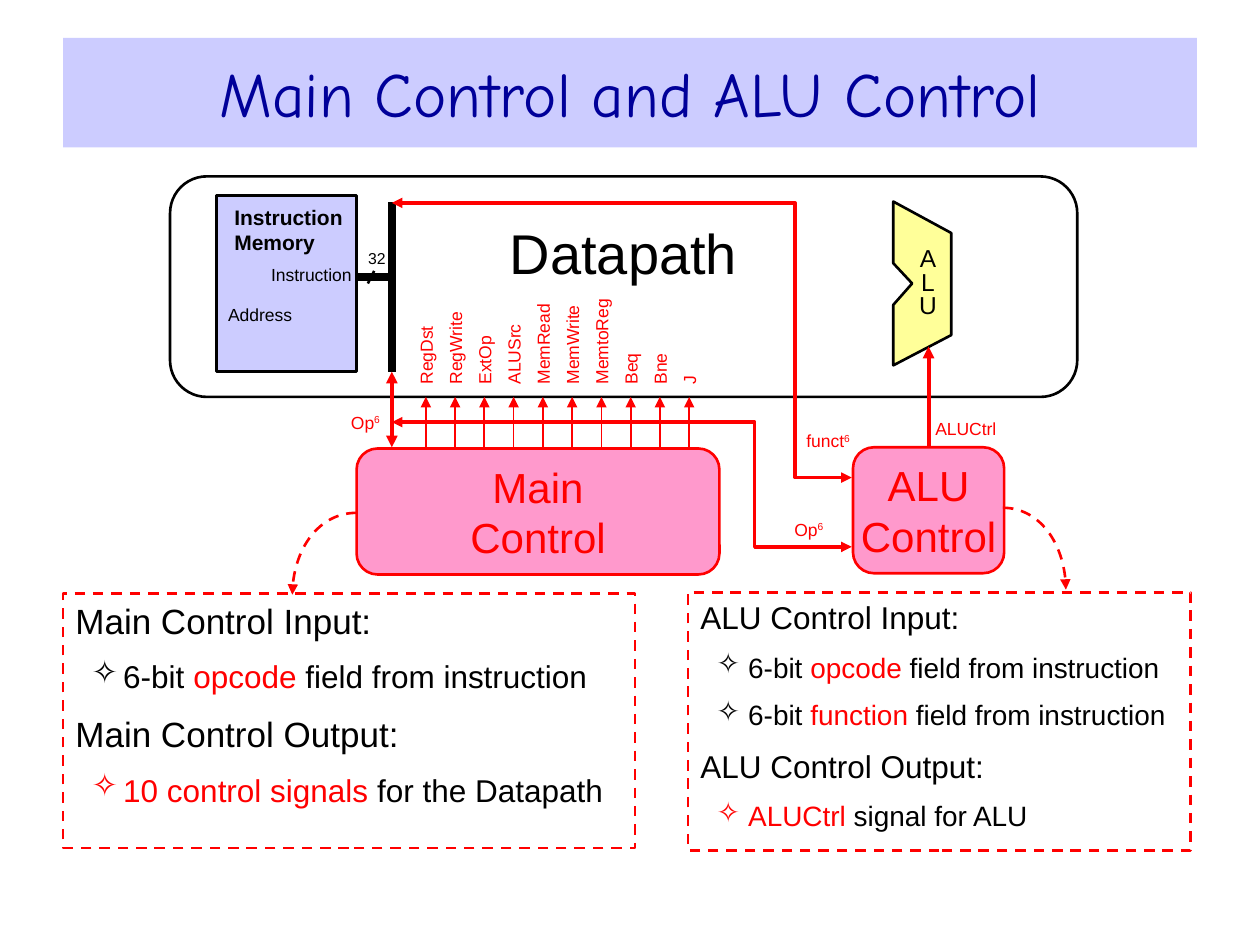
import lxml.etree
import pptx
import pptx.dml.color
import pptx.enum.dml
import pptx.enum.shapes
import pptx.enum.text
import pptx.oxml.ns
import pptx.util

Inches = pptx.util.Inches
Pt = pptx.util.Pt
SHAPE = pptx.enum.shapes.MSO_SHAPE
ALIGN = pptx.enum.text.PP_ALIGN
ANCHOR = pptx.enum.text.MSO_ANCHOR
qn = pptx.oxml.ns.qn

COLORS = {
    "black": "000000",
    "red": "FF0000",
    "navy": "000099",
    "lavender": "CCCCFF",
    "pink": "FF99CC",
    "yellow": "FFFF99",
}
SIGNAL_LENGTHS = {
    "RegDst": 0.6, "RegWrite": 0.6, "ExtOp": 0.6, "ALUSrc": 0.6, "MemRead": 0.8,
    "MemWrite": 0.7, "MemtoReg": 0.75, "Beq": 0.6, "Bne": 0.6, "J": 0.6,
}
SIGNAL_STEP = 2.09 / 9


def rgb(color):
    return pptx.dml.color.RGBColor.from_string(COLORS[color])


def write_text(frame, paragraphs, size=10, color="black", font="Arial", bold=False,
               align=ALIGN.LEFT, anchor=ANCHOR.MIDDLE, inset=(0, 0), wrap=True, spacing=None):
    """Fill a frame; each paragraph is a list of (text, run color, superscript) or a string."""
    frame.word_wrap = wrap
    frame.vertical_anchor = anchor
    frame.margin_left = frame.margin_right = Inches(inset[0])
    frame.margin_top = frame.margin_bottom = Inches(inset[1])
    for index, runs in enumerate(paragraphs):
        paragraph = frame.add_paragraph() if index else frame.paragraphs[0]
        paragraph.alignment = align
        paragraph.line_spacing = spacing
        for text, run_color, raised in [(runs, color, False)] if isinstance(runs, str) else runs:
            run = paragraph.add_run()
            run.text = text
            run.font.size = Pt(size)
            run.font.name = font
            run.font.bold = bold
            run.font.color.rgb = rgb(run_color)
            if raised:
                run._r.get_or_add_rPr().set("baseline", "30000")


def add_label(slide, left, top, width, height, paragraphs, rotation=0, **text_format):
    label = slide.shapes.add_textbox(Inches(left), Inches(top), Inches(width), Inches(height))
    label.rotation = rotation
    write_text(label.text_frame, paragraphs, **text_format)


def with_bits(name):
    return [[(name, "red", False), ("6", "red", True)]]


def style_line(line, color="red", weight=1.5, dashed=False, head=False, tail=False):
    line.color.rgb = rgb(color)
    line.width = Pt(weight)
    if dashed:
        line.dash_style = pptx.enum.dml.MSO_LINE.DASH
    for end, wanted in (("a:headEnd", head), ("a:tailEnd", tail)):
        if wanted:
            lxml.etree.SubElement(line._get_or_add_ln(), qn(end)).set("type", "triangle")


def style_shape(shape, fill=None, **line_format):
    shape.shadow.inherit = False
    if fill:
        shape.fill.solid()
        shape.fill.fore_color.rgb = rgb(fill)
    else:
        shape.fill.background()
    style_line(shape.line, **line_format)


def add_box(slide, kind, left, top, width, height, **style):
    box = slide.shapes.add_shape(kind, Inches(left), Inches(top), Inches(width), Inches(height))
    style_shape(box, **style)
    return box


def add_wire(slide, start, end, **line_format):
    wire = slide.shapes.add_connector(
        pptx.enum.shapes.MSO_CONNECTOR.STRAIGHT, *(Inches(value) for value in start + end))
    style_line(wire.line, **line_format)
    lxml.etree.SubElement(wire._element.spPr, qn("a:effectLst"))


def add_outline(slide, points, close=False, **style):
    corners = [(Inches(x), Inches(y)) for x, y in points]
    builder = slide.shapes.build_freeform(*corners[0])
    builder.add_line_segments(corners[1:], close=close)
    outline = builder.convert_to_shape()
    style_shape(outline, **style)
    return outline


def add_curve(slide, start, end):
    """Draw a dashed quarter ellipse that leaves sideways and arrives downward."""
    curve = add_outline(slide, [start, end], dashed=True, tail=True)
    segment = next(curve._element.iter(qn("a:lnTo")))
    (x0, y0), (x1, y1) = [(int(point.get("x")), int(point.get("y")))
                          for point in curve._element.iter(qn("a:pt"))]
    segment.tag = qn("a:cubicBezTo")
    controls = [(x0 + 0.55 * (x1 - x0), y0), (x1, y0 + 0.45 * (y1 - y0))]
    for index, (x, y) in enumerate(controls):
        segment.insert(index, segment.makeelement(qn("a:pt"), {"x": str(int(x)), "y": str(int(y))}))


def place_title(title, left, top, width, height):
    title.left, title.top = Inches(left), Inches(top)
    title.width, title.height = Inches(width), Inches(height)
    title.fill.solid()
    title.fill.fore_color.rgb = rgb("lavender")
    write_text(title.text_frame, ["Main Control and ALU Control"], size=36, color="navy",
               font="Comic Neue", align=ALIGN.CENTER, inset=(0.1, 0.05))


def draw_instruction_memory(slide, left, top, width, height):
    add_box(slide, SHAPE.RECTANGLE, left, top, width, height, fill="lavender", color="black")
    add_label(slide, left + 0.14, top, 0.88, 0.55, ["Instruction", "Memory"], size=12, bold=True)
    add_label(slide, left + 0.19, top + 0.5, 0.88, 0.25, ["Instruction"], align=ALIGN.RIGHT)
    add_label(slide, left + 0.09, top + 0.8, 0.69, 0.3, ["Address"])
    right, bus, middle = left + width, left + 1.39, top + 0.65
    add_wire(slide, (right, middle), (bus, middle), color="black", weight=4.5)
    add_wire(slide, (right + 0.14, middle - 0.05), (right + 0.09, middle + 0.05), color="black")
    add_wire(slide, (bus, top + 0.05), (bus, top + height), color="black", weight=4.5)
    add_label(slide, right + 0.05, top + 0.4, 0.18, 0.2, ["32"], size=9,
              align=ALIGN.RIGHT, wrap=False)


def draw_alu(slide, left, top, width, height):
    corners = [(0, height), (width, 1.06), (width, 0.25), (0, 0),
               (0, 0.49), (0.15, height / 2), (0, 0.82)]
    add_outline(slide, [(left + x, top + y) for x, y in corners], close=True,
                fill="yellow", color="black")
    add_label(slide, left + 0.08, top + 0.25, 0.39, 0.81, list("ALU"), size=14,
              align=ALIGN.CENTER, inset=(0.1, 0.05), wrap=False, spacing=0.8)


def draw_datapath(slide, left, top, width, height):
    add_label(slide, left, top + 0.15, width, 0.9, ["Datapath"], size=32,
              align=ALIGN.CENTER, inset=(0.1, 0.05))
    add_box(slide, SHAPE.ROUNDED_RECTANGLE, left, top, width, height, color="black")
    draw_instruction_memory(slide, left + 0.37, top + 0.15, 1.11, 1.4)
    draw_alu(slide, left + 5.74, top + 0.2, 0.46, 1.3)


def draw_control(slide, name, left, top, width, height):
    unit = add_box(slide, SHAPE.ROUNDED_RECTANGLE, left, top, width, height, fill="pink")
    write_text(unit.text_frame, [name, "Control"], size=24, color="red",
               align=ALIGN.CENTER, inset=(0, 0.05))


def draw_signals(slide, left, top, height):
    for index, (signal, length) in enumerate(SIGNAL_LENGTHS.items()):
        x = left + index * SIGNAL_STEP
        add_wire(slide, (x, top + height), (x, top), weight=1, tail=True)
        add_label(slide, x - length / 2, top - 0.19 - length / 2, length, 0.18, [signal],
                  rotation=270, color="red")


def draw_wires(slide, bus, top, bottom):
    """Connect the instruction bus, both control units and the ALU."""
    unit_left, alu = bus + 3.65, bus + 4.26
    add_wire(slide, (bus, top + 1.35), (bus, bottom), weight=2.25, head=True, tail=True)
    add_wire(slide, (alu, bottom), (alu, top + 1.15), weight=2.25, tail=True)
    for bend, start, end in ((bus + 2.88, top + 1.75, top + 2.74),
                             (bus + 3.2, top + 0.01, top + 2.19)):
        add_outline(slide, [(bus, start), (bend, start), (bend, end), (unit_left, end)],
                    weight=2, head=True, tail=True)
    add_label(slide, bus - 0.35, top + 1.65, 0.28, 0.2, with_bits("Op"), align=ALIGN.CENTER)
    add_label(slide, bus + 3.01, top + 2.5, 0.6, 0.2, with_bits("Op"), align=ALIGN.CENTER)
    add_label(slide, bus + 3.29, top + 1.81, 0.44, 0.18, with_bits("funct"))
    add_label(slide, alu + 0.04, top + 1.7, 0.51, 0.2, ["ALUCtrl"], color="red",
              align=ALIGN.CENTER)


def draw_notes(slide, left, top, width, height, items, size):
    """Write headings (strings) and bullets (lists of text and color) in a dashed box."""
    box = add_box(slide, SHAPE.RECTANGLE, left, top, width, height, dashed=True)
    paragraphs = [item if isinstance(item, str) else [(text, color, False) for text, color in item]
                  for item in items]
    write_text(box.text_frame, paragraphs, size=size, anchor=ANCHOR.TOP, inset=(0.1, 0.05))
    for index, (item, paragraph) in enumerate(zip(items, box.text_frame.paragraphs)):
        is_bullet = not isinstance(item, str)
        text_size = size - 2 if is_bullet else size
        if index:
            paragraph.space_before = Pt(text_size / 2)
        if is_bullet:
            properties = paragraph._p.get_or_add_pPr()
            properties.set("marL", str(Inches(0.38)))
            properties.set("indent", str(Inches(-0.25)))
            bullet_color = lxml.etree.SubElement(properties, qn("a:buClr"))
            lxml.etree.SubElement(bullet_color, qn("a:srgbClr")).set("val", COLORS[item[0][1]])
            lxml.etree.SubElement(properties, qn("a:buChar")).set("char", "✧")
            for run in paragraph.runs:
                run.font.size = Pt(text_size)


def field_bullet(field):
    return [("6-bit ", "black"), (field, "red"), (" field from instruction", "black")]


def main():
    deck = pptx.Presentation()
    deck.slide_width, deck.slide_height = Inches(10), Inches(7.5)
    slide = deck.slides.add_slide(deck.slide_layouts[5])
    place_title(slide.shapes.title, 0.5, 0.3, 9, 0.87)
    draw_datapath(slide, 1.35, 1.4, 7.2, 1.75)
    draw_signals(slide, 3.38, 3.15, 0.4)
    draw_wires(slide, 3.11, 1.6, 3.55)
    draw_control(slide, "Main", 2.83, 3.56, 2.88, 1)
    draw_control(slide, "ALU", 6.77, 3.55, 1.2, 1)
    draw_notes(slide, 0.5, 4.71, 4.54, 2.02, [
        "Main Control Input:", field_bullet("opcode"), "Main Control Output:",
        [("10 control signals", "red"), (" for the Datapath", "black")]], size=20)
    draw_notes(slide, 5.46, 4.7, 3.99, 2.05, [
        "ALU Control Input:", field_bullet("opcode"), field_bullet("function"),
        "ALU Control Output:", [("ALUCtrl", "red"), (" signal for ALU", "black")]], size=18)
    add_curve(slide, (2.83, 4.07), (2.32, 4.72))
    add_curve(slide, (7.96, 4.03), (8.46, 4.68))
    deck.save("out.pptx")


if __name__ == "__main__":
    main()
